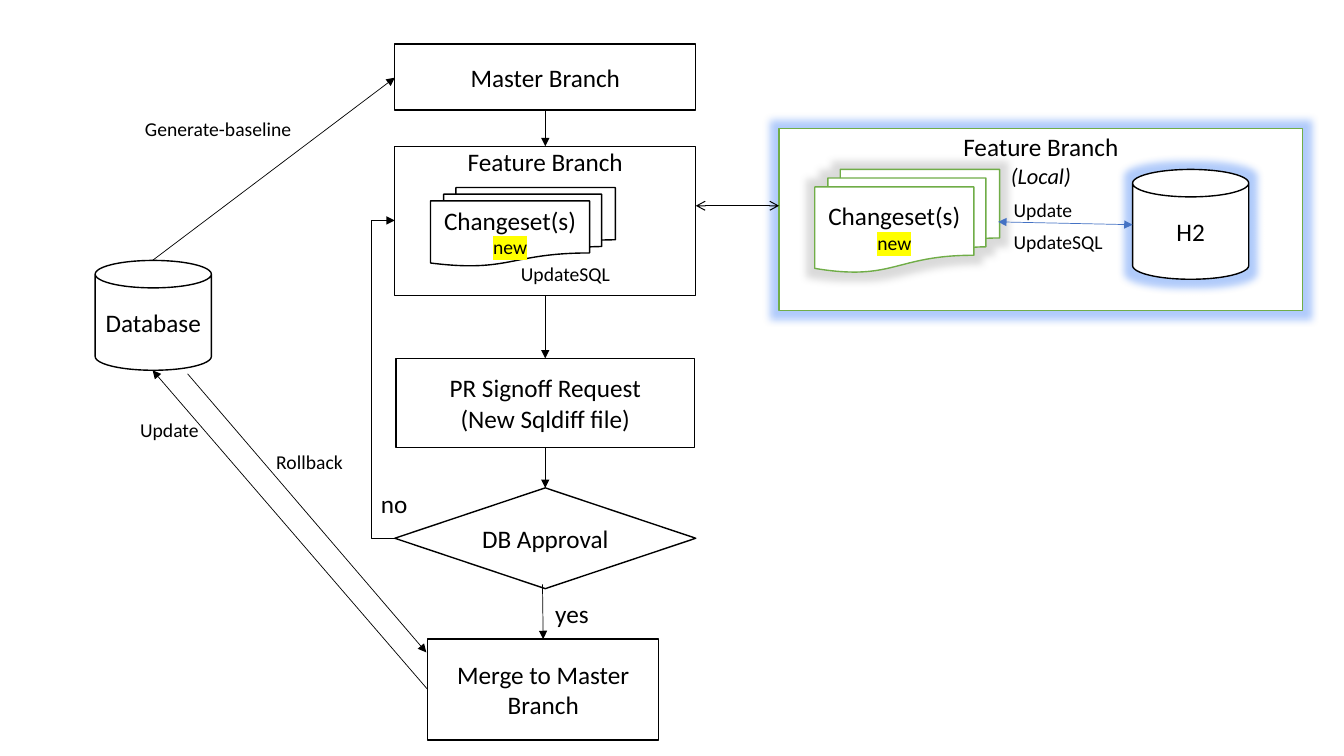
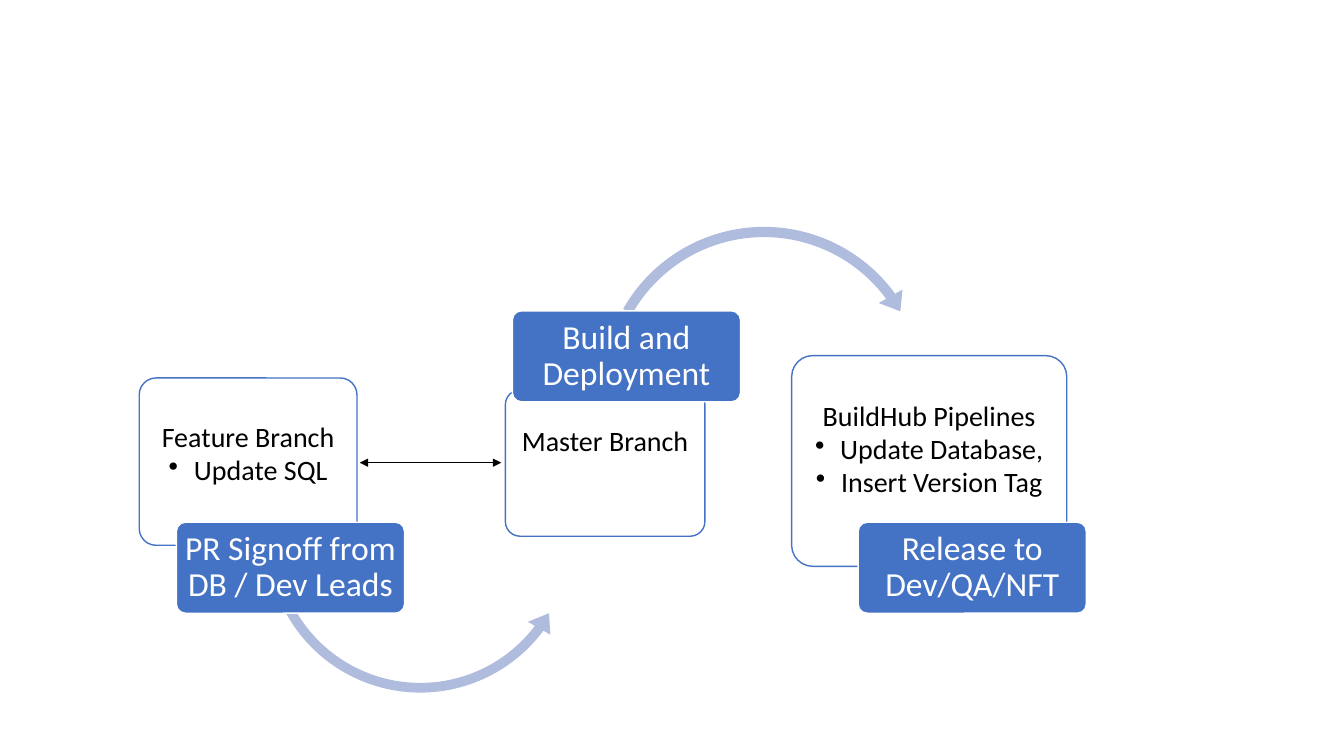
from dataclasses import dataclass

from lxml import etree
from pptx import Presentation
from pptx.dml.color import RGBColor
from pptx.enum.shapes import MSO_CONNECTOR, MSO_SHAPE
from pptx.enum.text import MSO_ANCHOR, PP_ALIGN
from pptx.oxml.ns import qn
from pptx.util import Pt

STRAIGHT, ELBOW = MSO_CONNECTOR.STRAIGHT, MSO_CONNECTOR.ELBOW
PROCESS = MSO_SHAPE.FLOWCHART_PROCESS
DECISION = MSO_SHAPE.FLOWCHART_DECISION
DOCUMENTS = MSO_SHAPE.FLOWCHART_MULTIDOCUMENT
CAN, ROUNDED = MSO_SHAPE.CAN, MSO_SHAPE.ROUNDED_RECTANGLE
ARC_BELOW, ARC_ABOVE = MSO_SHAPE.LEFT_CIRCULAR_ARROW, MSO_SHAPE.CIRCULAR_ARROW
TOP, MIDDLE = MSO_ANCHOR.TOP, MSO_ANCHOR.MIDDLE
LEFT, CENTER, RIGHT = PP_ALIGN.LEFT, PP_ALIGN.CENTER, PP_ALIGN.RIGHT

FONT = "Calibri"
BLACK, WHITE, BLUE, GREEN = "000000", "FFFFFF", "4472C4", "70AD47"
PALE_BLUE, YELLOW = "B0BCDE", "FFFF00"
BLUE_GLOW, GRAY_GLOW = "3B7DF5", "A5A5A5"


def rgb(value):
    return RGBColor.from_string(value)


def add_color(parent, value, alpha=None):
    color = etree.SubElement(parent, qn("a:srgbClr"), val=value)
    if alpha:
        etree.SubElement(color, qn("a:alpha"), val=str(alpha * 1000))


@dataclass
class Line:
    text: str
    size: int = 18
    italic: bool = False
    highlight: str = ""
    bullet: bool = False


class Deck:
    """Holds the deck style and the slide being drawn."""

    def __init__(self):
        self.presentation = Presentation()
        self.presentation.slide_width = Pt(960)
        self.presentation.slide_height = Pt(540)
        self.slide = None

    def new_slide(self):
        layout = self.presentation.slide_layouts[6]
        self.slide = self.presentation.slides.add_slide(layout)

    def set_text(self, frame, lines, color=BLACK, align=CENTER, anchor=MIDDLE,
                 insets=(7.2, 3.6), spacing=None, after=0):
        side, top = insets
        frame.word_wrap = True
        frame.vertical_anchor = anchor
        frame.margin_left = frame.margin_right = Pt(side)
        frame.margin_top = Pt(top)
        frame.margin_bottom = Pt(min(top, 3.6))
        for index, line in enumerate(lines):
            paragraph = frame.add_paragraph() if index else frame.paragraphs[0]
            run = paragraph.add_run()
            run.text = line.text
            paragraph.alignment = align
            if line.bullet:
                properties = paragraph._p.get_or_add_pPr()
                properties.set("marL", str(Pt(18)))
                properties.set("indent", str(Pt(-18)))
                etree.SubElement(properties, qn("a:buChar"), char="•")
            if spacing:
                paragraph.line_spacing = spacing
                paragraph.space_after = Pt(after)
            font = paragraph.font
            font.name, font.size, font.italic = FONT, Pt(line.size), line.italic
            font.color.rgb = rgb(color)
            if line.highlight:
                mark = etree.SubElement(run._r.get_or_add_rPr(), qn("a:highlight"))
                add_color(mark, line.highlight)

    def shape(self, kind, box, lines=(), fill=WHITE, outline=BLACK,
              adjust=(), glow=None, **style):
        shape = self.slide.shapes.add_shape(kind, *map(Pt, box))
        shape.shadow.inherit = False
        shape.fill.solid()
        shape.fill.fore_color.rgb = rgb(fill)
        if outline:
            shape.line.color.rgb = rgb(outline)
            shape.line.width = Pt(1)
        else:
            shape.line.fill.background()
        for index, value in enumerate(adjust):
            shape.adjustments[index] = value
        if glow:
            effects = shape.element.spPr.find(qn("a:effectLst"))
            halo = etree.SubElement(effects, qn("a:glow"), rad=str(Pt(11)))
            add_color(halo, glow, 40)
        if lines:
            self.set_text(shape.text_frame, lines, **style)

    def label(self, text, left, top, width, size=14, align=LEFT):
        box = self.slide.shapes.add_textbox(
            Pt(left), Pt(top), Pt(width), Pt(size * 1.22 + 7.2))
        self.set_text(box.text_frame, [Line(text, size)], align=align, anchor=TOP)

    def arrow(self, start, end, color=BLACK, width=0.5, head=None,
              tail="triangle", bend=None):
        kind = ELBOW if bend else STRAIGHT
        connector = self.slide.shapes.add_connector(kind, *map(Pt, start + end))
        connector.line.color.rgb = rgb(color)
        connector.line.width = Pt(width)
        properties = connector.element.spPr
        stroke = properties.find(qn("a:ln"))
        for tag, style in (("a:headEnd", head), ("a:tailEnd", tail)):
            if style:
                etree.SubElement(stroke, qn(tag), type=style)
        etree.SubElement(properties, qn("a:effectLst"))
        if bend:
            guides = properties.find(qn("a:prstGeom")).find(qn("a:avLst"))
            etree.SubElement(guides, qn("a:gd"), name="adj1",
                             fmla=f"val {bend * 100000}")

    def card(self, box, lines, top):
        self.shape(ROUNDED, box, lines, outline=BLUE, adjust=[0.1],
                   anchor=TOP, insets=(0, top), spacing=0.9, after=2)

    def step(self, text, left, top):
        self.shape(ROUNDED, (left, top, 163, 65), [Line(text, 24)], fill=BLUE,
                   outline=WHITE, adjust=[0.1], color=WHITE, insets=(0, 2),
                   spacing=0.9)


def draw_branch_flow(deck):
    deck.new_slide()
    changesets = [Line("Changeset(s)"), Line("new", 14, highlight=YELLOW)]

    deck.shape(CAN, (68, 186, 83, 78.5), [Line("Database")], insets=(0, 3.6))
    deck.shape(PROCESS, (282, 31.5, 215, 47), [Line("Master Branch")])
    deck.shape(PROCESS, (282, 104.5, 215, 106.5), [Line("Feature Branch")],
               anchor=TOP, insets=(7.2, 0))
    deck.shape(PROCESS, (283, 256, 213, 63.5),
               [Line("PR Signoff Request"), Line("(New Sqldiff file)")])
    deck.shape(DECISION, (282, 348.5, 215, 72), [Line("DB Approval")])
    deck.shape(PROCESS, (305.5, 456.5, 165, 72), [Line("Merge to Master Branch")])
    deck.shape(DOCUMENTS, (307.5, 134, 132, 56), changesets)

    deck.shape(PROCESS, (556.5, 92, 374, 130),
               [Line("Feature Branch"), Line("(Local)", 16, italic=True)],
               outline=GREEN, glow=BLUE_GLOW, anchor=TOP, insets=(7.2, 2))
    deck.shape(DOCUMENTS, (582, 121, 132, 73.5), changesets,
               outline=GREEN, glow=GRAY_GLOW)
    deck.shape(CAN, (809, 121, 83, 78.5), [Line("H2")], glow=BLUE_GLOW)

    for start, end in (
        ((109, 186), (282, 55.5)),
        ((305.5, 492.5), (109, 264.5)),
        ((134, 267), (304.5, 466)),
        ((389.5, 78.5), (389.5, 104.5)),
        ((389.5, 211), (389.5, 256)),
        ((389.5, 319.5), (389.5, 348.5)),
        ((387.5, 417.5), (388, 456.5)),
    ):
        deck.arrow(start, end)
    deck.arrow((283, 384.5), (282, 157.5), bend=18)
    deck.arrow((497, 147), (556.5, 147), width=0.75, head="arrow", tail="arrow")
    deck.arrow((713, 158.5), (809, 160.5), color=BLUE, head="triangle")

    deck.label("Generate-baseline", 96.5, 80, 119.5)
    deck.label("Update", 93, 295, 83)
    deck.label("Rollback", 169, 317.5, 83, align=RIGHT)
    deck.label("UpdateSQL", 365, 183.5, 111)
    deck.label("Update", 717, 138, 111)
    deck.label("UpdateSQL", 717, 160.5, 111)
    deck.label("yes", 389.5, 424, 40, size=18)
    deck.label("no", 265, 345.5, 40, size=18)


def draw_release_flow(deck):
    deck.new_slide()
    deck.card((99.5, 270, 155.5, 119.5),
              [Line("Feature Branch", 20), Line("Update SQL", 20, bullet=True)], 29)
    deck.shape(ARC_BELOW, (185, 270, 230.5, 230.5), fill=PALE_BLUE, outline=None,
               adjust=[0.03, 4.17, 22.09, 90.41, 0.04])
    deck.step("PR Signoff from DB / Dev Leads", 126, 373)

    deck.card((361, 278.5, 142.5, 104.5), [Line("Master Branch", 20)], 24)
    deck.shape(ARC_ABOVE, (424, 156, 243.5, 243.5), fill=PALE_BLUE, outline=None,
               adjust=[0.03, 3.92, 194.32, 125.76, 0.04])
    deck.step("Build and Deployment", 366, 222)

    deck.card((565.5, 254, 196.5, 150.5),
              [Line("BuildHub Pipelines", 20),
               Line("Update Database,", 20, bullet=True),
               Line("Insert Version Tag", 20, bullet=True)], 29)
    deck.step("Release to Dev/QA/NFT", 613, 373)
    deck.arrow((257, 330.5), (358, 330.5), head="triangle")


def main():
    deck = Deck()
    draw_branch_flow(deck)
    draw_release_flow(deck)
    deck.presentation.save("out.pptx")


if __name__ == "__main__":
    main()
